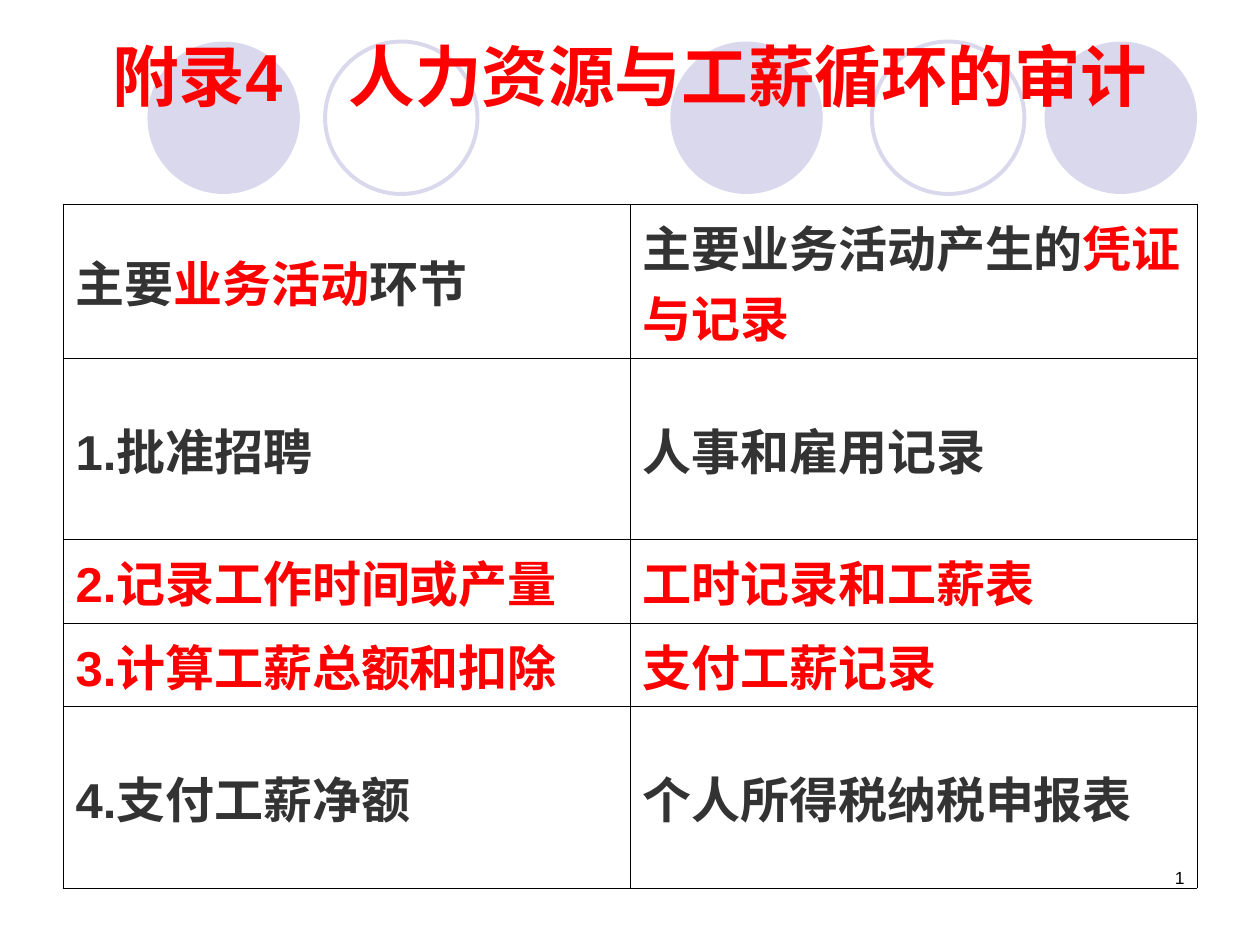
from pptx import Presentation
from pptx.dml.color import RGBColor
from pptx.enum.shapes import MSO_SHAPE
from pptx.enum.text import MSO_ANCHOR, PP_ALIGN
from pptx.oxml import parse_xml
from pptx.oxml.ns import nsdecls
from pptx.util import Inches, Pt

RED = "FF0000"
GREY = "333333"
BLACK = "000000"
LAVENDER = "D9D8EC"


def color(value):
    return RGBColor.from_string(value)


class SlideBuilder:
    font_name = "Arial"

    def __init__(self, page):
        self.page = page

    def format_run(self, run, size, value, bold=True):
        run.font.name = self.font_name
        run.font.size = Pt(size)
        run.font.bold = bold
        run.font.color.rgb = color(value)

    def add_title(self, text, left, top, width, height):
        title = self.page.shapes.title
        title.left, title.top = Inches(left), Inches(top)
        title.width, title.height = Inches(width), Inches(height)
        frame = title.text_frame
        frame.text = text
        frame.word_wrap = True
        frame.vertical_anchor = MSO_ANCHOR.TOP
        para = frame.paragraphs[0]
        para.alignment = PP_ALIGN.CENTER
        para.line_spacing = 0.9
        self.format_run(para.runs[0], 38, RED)

    def add_circle(self, left, top, diameter, filled):
        circle = self.page.shapes.add_shape(
            MSO_SHAPE.OVAL, Inches(left), Inches(top), Inches(diameter), Inches(diameter))
        circle.shadow.inherit = False
        if filled:
            circle.fill.solid()
            circle.fill.fore_color.rgb = color(LAVENDER)
            circle.line.fill.background()
        else:
            circle.fill.background()
            circle.line.color.rgb = color(LAVENDER)
            circle.line.width = Pt(2.25)
        self.page.shapes.title.element.addprevious(circle.element)

    def add_borders(self, cell):
        properties = cell._tc.get_or_add_tcPr()
        for index, side in enumerate(("lnL", "lnR", "lnT", "lnB")):
            properties.insert(index, parse_xml(
                f'<a:{side} {nsdecls("a")} w="{Pt(0.45)}"><a:solidFill>'
                f'<a:srgbClr val="{BLACK}"/></a:solidFill></a:{side}>'))

    def add_table(self, rows, heights, left, top, width):
        table = self.page.shapes.add_table(
            len(rows), len(rows[0]), Inches(left), Inches(top),
            Inches(width), Inches(sum(heights))).table
        table.first_row = False
        table.horz_banding = False
        for row, height, contents in zip(table.rows, heights, rows):
            row.height = Inches(height)
            for cell, parts in zip(row.cells, contents):
                cell.fill.background()
                cell.vertical_anchor = MSO_ANCHOR.MIDDLE
                para = cell.text_frame.paragraphs[0]
                for text, value in parts:
                    run = para.add_run()
                    run.text = text
                    self.format_run(run, 28, value)
                self.add_borders(cell)

    def add_page_number(self, text, left, top, width, height):
        box = self.page.shapes.add_textbox(
            Inches(left), Inches(top), Inches(width), Inches(height))
        frame = box.text_frame
        frame.word_wrap = True
        frame.text = text
        para = frame.paragraphs[0]
        para.alignment = PP_ALIGN.RIGHT
        self.format_run(para.runs[0], 10, BLACK, bold=False)


def main():
    deck = Presentation()
    deck.slide_width, deck.slide_height = Inches(10), Inches(7.5)
    builder = SlideBuilder(deck.slides.add_slide(deck.slide_layouts[5]))

    circles = [(1.17, True), (2.58, False), (5.32, True), (6.92, False), (8.29, True)]
    for left, filled in circles:
        builder.add_circle(left, 0.33, 1.21, filled)
    builder.add_title("附录4　人力资源与工薪循环的审计", 0.5, 0.3, 9, 0.93)

    header = [
        [("主要", GREY), ("业务活动", RED), ("环节", GREY)],
        [("主要业务活动产生的", GREY), ("凭证与记录", RED)],
    ]
    activities = [
        ("1.批准招聘", "人事和雇用记录", GREY),
        ("2.记录工作时间或产量", "工时记录和工薪表", RED),
        ("3.计算工薪总额和扣除", "支付工薪记录", RED),
        ("4.支付工薪净额", "个人所得税纳税申报表", GREY),
    ]
    body = [[[(activity, value)], [(record, value)]] for activity, record, value in activities]
    builder.add_table([header] + body, [1.03, 1.44, 0.59, 0.59, 1.44], 0.5, 1.62, 9)
    builder.add_page_number("1", 7.17, 6.83, 2.33, 0.5)

    deck.save("out.pptx")


if __name__ == "__main__":
    main()
